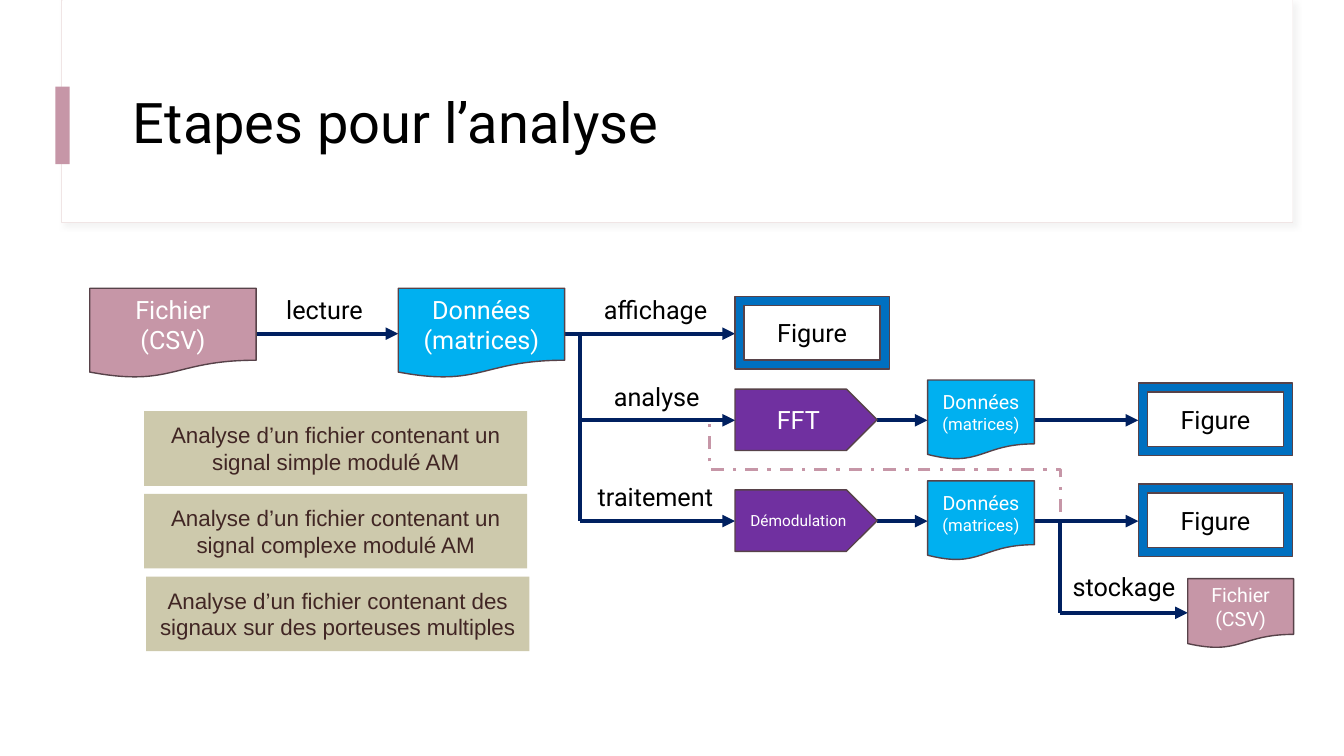
from lxml import etree
from pptx import Presentation, util as u
from pptx.dml.color import RGBColor
from pptx.enum import dml, shapes, text
from pptx.oxml import parse_xml
from pptx.oxml.ns import nsdecls, qn

PX = 9144
C = {"white": "FFFFFF", "black": "000000", "pink": "C696A7", "border": "F0E5E5",
     "outline": "574249", "cyan": "00B0F0", "blue": "0070C0", "purple": "7030A0",
     "navy": "002060", "sand": "CDC9AC", "brown": "412624", "shadow": "D9D9D9"}
DOC = shapes.MSO_SHAPE.FLOWCHART_DOCUMENT
PLATE = shapes.MSO_SHAPE.PENTAGON
FRAME = shapes.MSO_SHAPE.FRAME
RECT = shapes.MSO_SHAPE.RECTANGLE


def rgb(name):
    return RGBColor.from_string(C[name])


def emu(*lengths):
    return [u.Emu(n * PX) for n in lengths]


def write(sp, lines, color, font="Roboto", align=text.PP_ALIGN.CENTER):
    tf = sp.text_frame
    for i, (words, size) in enumerate(lines):
        p = tf.paragraphs[0] if i == 0 else tf.add_paragraph()
        p.alignment = align
        r = p.add_run()
        r.text = words
        r.font.size = u.Pt(size)
        r.font.name = font
        r.font.color.rgb = rgb(color)
    return tf


def add_shape(s, kind, box, fill, line=None, width=1):
    sp = s.shapes.add_shape(kind, *emu(*box))
    sp.shadow.inherit = False
    sp.fill.solid()
    sp.fill.fore_color.rgb = rgb(fill)
    if line:
        sp.line.color.rgb = rgb(line)
        sp.line.width = u.Pt(width)
    else:
        sp.line.fill.background()
    return sp


def add_node(s, kind, box, fill, lines, color="white"):
    sp = add_shape(s, kind, box, fill, "outline")
    tf = write(sp, lines, color)
    tf.vertical_anchor = text.MSO_ANCHOR.MIDDLE
    tf.word_wrap = True


def add_figure(s, x, axis):
    add_node(s, FRAME, (x, axis - 37, 153, 72), "blue", [("Figure", 18)], "black")


def add_label(s, x, axis, w, words):
    sp = s.shapes.add_textbox(*emu(x, axis - 44, w, 40))
    tf = write(sp, [(words, 18)], "black", align=text.PP_ALIGN.LEFT)
    tf.word_wrap = False
    tf.auto_size = text.MSO_AUTO_SIZE.SHAPE_TO_FIT_TEXT


def add_line(s, x1, y1, x2, y2, color="navy", width=3, arrow=True,
             kind=shapes.MSO_CONNECTOR.STRAIGHT):
    cx = s.shapes.add_connector(kind, *emu(x1, y1, x2, y2))
    cx.line.color.rgb = rgb(color)
    cx.line.width = u.Pt(width)
    if arrow:
        etree.SubElement(cx.line._get_or_add_ln(), qn("a:tailEnd"), type="triangle")
    etree.SubElement(cx._element.spPr, qn("a:effectLst"))
    return cx


def header(s, x, y, w, h):
    card = add_shape(s, RECT, (x, y, w, h), "white", "border", 0.75)
    effects = card._element.spPr.find(qn("a:effectLst"))
    effects.append(parse_xml(
        f'<a:outerShdw {nsdecls("a")} blurRad="50800" dist="38100" dir="2700000">'
        f'<a:srgbClr val="{C["shadow"]}"><a:alpha val="30000"/></a:srgbClr></a:outerShdw>'))
    add_shape(s, RECT, (x + 1, y, w - 1, h - 1), "white")
    add_shape(s, RECT, (x - 6, y + 86, 14, 77), "pink")
    title = s.shapes.add_textbox(*emu(x + 61, y + 60, 1112, 129))
    tf = write(title, [("Etapes pour l’analyse", 40)], "black", align=text.PP_ALIGN.LEFT)
    tf.word_wrap = True
    tf.vertical_anchor = text.MSO_ANCHOR.MIDDLE
    tf.paragraphs[0].line_spacing = 0.9


def feedback(s, x1, y1, x2, y2):
    cx = add_line(s, x1, y1, x2, y2, "pink", 2.25, kind=shapes.MSO_CONNECTOR.ELBOW)
    cx.line.dash_style = dml.MSO_LINE.DASH_DOT
    geom = cx._element.spPr.find(qn("a:prstGeom"))
    geom.set("prst", "bentConnector5")
    guides = geom.find(qn("a:avLst"))
    for i, value in enumerate((-8400, 51200, 108400), 1):
        etree.SubElement(guides, qn("a:gd"), name=f"adj{i}", fmla=f"val {value}")


def acquisition(s, x, y, w, h):
    axis = y + 45
    data = x + 306
    figure = x + w - 153
    add_line(s, x + 165, axis, data, axis)
    add_line(s, data + 165, axis, figure, axis)
    add_node(s, DOC, (x, y, 165, h), "pink", [("Fichier", 18), ("(CSV)", 18)])
    add_node(s, DOC, (data, y, 165, h), "cyan", [("Données", 18), ("(matrices)", 18)])
    add_figure(s, figure, axis)
    add_label(s, x + 185, axis, 99, "lecture")
    add_label(s, x + 500, axis, 125, "affichage")


def branch(s, x, y, w, h, rise, label, label_x, label_w, step):
    axis = y + h // 2
    plate, data, figure = x + 154, x + 345, x + w - 153
    add_line(s, x, axis - rise, x, axis, arrow=False)
    for start, end in ((x, plate), (plate + 141, data), (data + 107, figure)):
        add_line(s, start, axis, end, axis)
    add_node(s, PLATE, (plate, axis - 31, 141, 61), "purple", [step])
    add_node(s, DOC, (data, axis - 40, 106, 79), "cyan", [("Données", 14), ("(matrices)", 12)])
    add_figure(s, figure, axis)
    add_label(s, x + label_x, axis, label_w, label)


def storage(s, x, y, w, h):
    axis = y + h
    add_line(s, x, y, x, axis, arrow=False)
    add_line(s, x, axis, x + w, axis)
    add_node(s, DOC, (x + w, axis - 34, 105, 69), "pink", [("Fichier", 14), ("(CSV)", 14)])
    add_label(s, x + 3, axis - 2, 124, "stockage")


def notes(s, x, y, w, h):
    cases = (("Analyse d’un fichier contenant un signal simple modulé AM", 0),
             ("Analyse d’un fichier contenant un signal complexe modulé AM", 0),
             ("Analyse d’un fichier contenant des signaux sur des porteuses multiples", 2))
    for i, (words, shift) in enumerate(cases):
        sp = add_shape(s, RECT, (x + shift, y + i * 82, w, h), "sand")
        tf = write(sp, [(words, 16)], "brown", "Arial")
        tf.word_wrap = True
        tf.vertical_anchor = text.MSO_ANCHOR.TOP
        tf.margin_left = tf.margin_right = tf.margin_top = tf.margin_bottom = u.Emu(10 * PX)


def main():
    prs = Presentation()
    prs.slide_width, prs.slide_height = emu(1333, 750)
    s = prs.slides.add_slide(prs.slide_layouts[6])
    header(s, 61, 0, 1221, 221)
    feedback(s, 1027, 517, 729, 417)
    acquisition(s, 89, 286, 793, 89)
    branch(s, 575, 377, 707, 80, 86, "analyse", 24, 106, ("FFT", 18))
    branch(s, 575, 477, 707, 80, 100, "traitement", 8, 139, ("Démodulation", 11))
    storage(s, 1051, 517, 127, 91)
    notes(s, 143, 408, 380, 74)
    prs.save("out.pptx")


if __name__ == "__main__":
    main()
